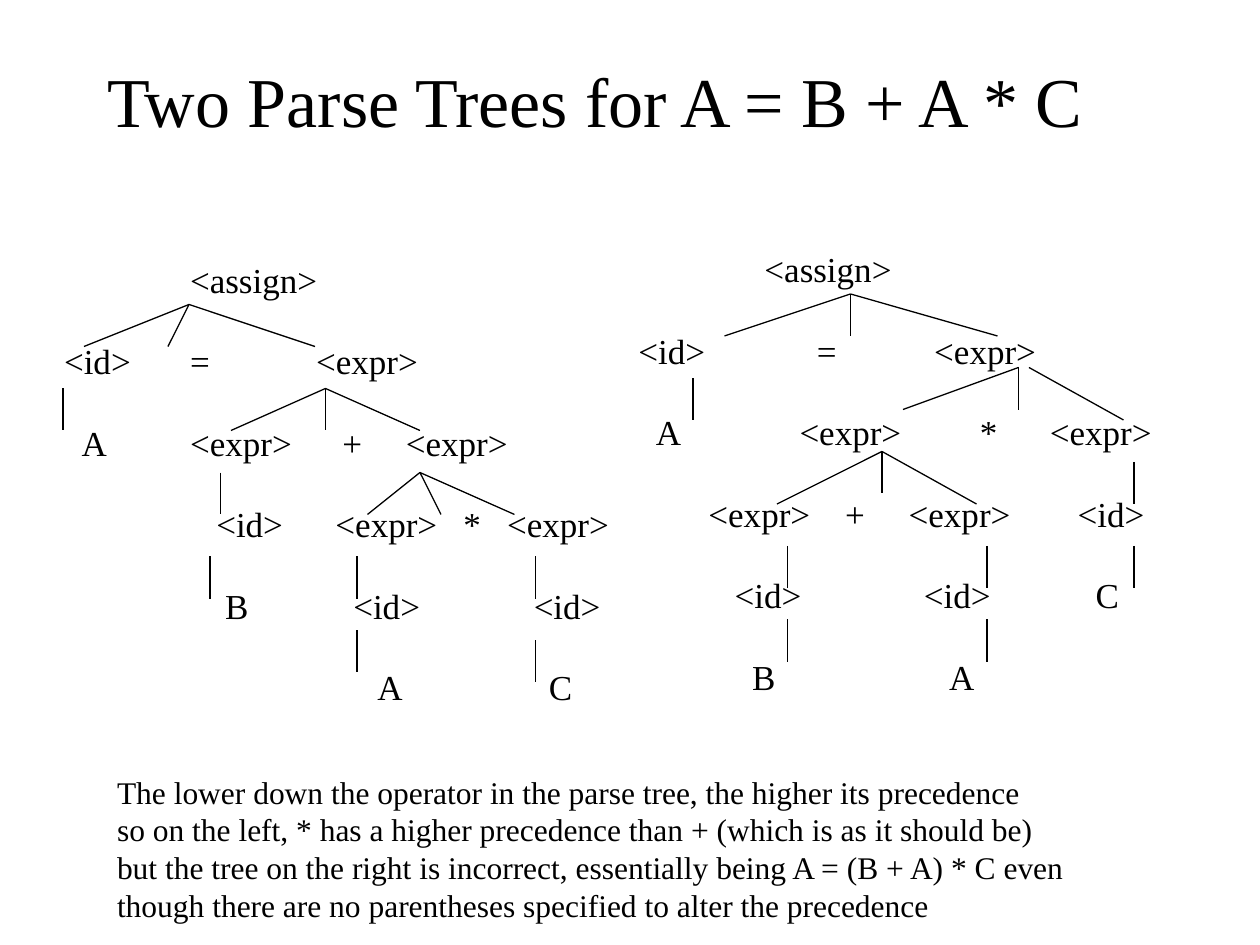
from dataclasses import dataclass

from lxml import etree
from pptx import Presentation
from pptx.dml.color import RGBColor
from pptx.enum.shapes import MSO_CONNECTOR
from pptx.enum.text import MSO_ANCHOR, PP_ALIGN
from pptx.oxml.ns import qn
from pptx.util import Pt

STRAIGHT = MSO_CONNECTOR.STRAIGHT
TOP, MIDDLE = MSO_ANCHOR.TOP, MSO_ANCHOR.MIDDLE
LEFT = PP_ALIGN.LEFT


@dataclass(frozen=True)
class Theme:
    font: str = "Times New Roman"
    ink: RGBColor = RGBColor(0, 0, 0)
    title_size: float = 40
    tree_size: float = 20
    note_size: float = 18
    line_width: float = 0.75
    level_gap: float = 22.6
    stem_length: float = 24


THEME = Theme()


def write_text(shape, lines, *, size, anchor=TOP, space_after=0, tab_stops=()):
    """Fill a shape with one paragraph per line; tab_stops holds a list per line."""
    frame = shape.text_frame
    frame.word_wrap = True
    frame.vertical_anchor = anchor
    for index, line in enumerate(lines):
        paragraph = frame.add_paragraph() if index else frame.paragraphs[0]
        paragraph.alignment = LEFT
        paragraph.space_after = Pt(space_after)
        if tab_stops:
            tab_list = etree.SubElement(paragraph._p.get_or_add_pPr(), qn("a:tabLst"))
            for stop in tab_stops[index]:
                etree.SubElement(tab_list, qn("a:tab"), pos=str(Pt(stop)), algn="l")
        run = paragraph.add_run()
        run.text = line
        run.font.name = THEME.font
        run.font.size = Pt(size)
        run.font.color.rgb = THEME.ink


def draw_line(slide, start, end):
    line = slide.shapes.add_connector(STRAIGHT, *(Pt(value) for value in (*start, *end)))
    line.line.color.rgb = THEME.ink
    line.line.width = Pt(THEME.line_width)
    etree.SubElement(line._element.spPr, qn("a:effectLst"))


# Each level lists its nodes as (distance from the text edge, label).
# Fans map a parent point to its branch ends; stems are the tops of vertical lines.
TREES = [
    {
        "box": (29.5, 144, 328, 270.7),
        "levels": [
            [(72, "<assign>")],
            [(0, "<id>"), (72, "="), (144, "<expr>")],
            [(10, "A"), (72, "<expr>"), (159, "+"), (195.3, "<expr>")],
            [(87, "<id>"), (155.1, "<expr>"), (228.2, "*"), (253.2, "<expr>")],
            [(92, "B"), (165.3, "<id>"), (268.4, "<id>")],
            [(179, "A"), (277, "C")],
        ],
        "fans": {
            (108, 174): [(48, 198), (96, 198), (180, 198)],
            (186, 222): [(132, 246), (186, 246), (240, 246)],
            (240, 270): [(210, 294), (252, 294), (294, 294)],
        },
        "stems": [(36, 222), (126, 270), (120, 318), (204, 318),
                  (306, 318), (204, 360), (306, 366)],
    },
    {
        "box": (357.8, 138, 335.5, 270.7),
        "levels": [
            [(72, "<assign>")],
            [(0, "<id>"), (102, "="), (169, "<expr>")],
            [(10, "A"), (92, "<expr>"), (195.1, "*"), (235.1, "<expr>")],
            [(40, "<expr>"), (118.1, "+"), (154.4, "<expr>"), (251, "<id>")],
            [(55, "<id>"), (163.1, "<id>"), (261.2, "C")],
            [(65, "B"), (177.5, "A")],
        ],
        "fans": {
            (486, 168): [(414, 192), (486, 192), (570, 192)],
            (582, 210): [(516, 234), (582, 234)],
            (588, 210): [(642, 240)],
            (504, 258): [(444, 288), (504, 282), (558, 288)],
        },
        "stems": [(396, 216), (648, 264), (450, 312), (564, 312),
                  (648, 312), (450, 354), (564, 354)],
    },
]

NOTE = [
    "The lower down the operator in the parse tree, the higher its precedence",
    "so on the left, * has a higher precedence than + (which is as it should be)",
    "but the tree on the right is incorrect, essentially being A = (B + A) * C even",
    "though there are no parentheses specified to alter the precedence",
]

presentation = Presentation()
presentation.slide_width, presentation.slide_height = Pt(720), Pt(540)
slide = presentation.slides.add_slide(presentation.slide_layouts[5])

# Title
title = slide.shapes.title
title.left, title.top, title.width, title.height = Pt(54), Pt(12), Pt(612), Pt(90)
write_text(title, ["Two Parse Trees for A = B + A * C"], size=THEME.title_size, anchor=MIDDLE)

# Parse trees: one paragraph per level, nodes placed by tab stops, then the branches
for tree in TREES:
    box = slide.shapes.add_textbox(*(Pt(value) for value in tree["box"]))
    lines, stops = [], []
    for level in tree["levels"]:
        lines.append("".join(f"\t{label}" if offset else label for offset, label in level))
        stops.append([offset for offset, label in level if offset])
    write_text(box, lines, size=THEME.tree_size, space_after=THEME.level_gap, tab_stops=stops)

    for parent, children in tree["fans"].items():
        for child in children:
            draw_line(slide, parent, child)
    for x, y in tree["stems"]:
        draw_line(slide, (x, y), (x, y + THEME.stem_length))

# Explanation
note = slide.shapes.add_textbox(Pt(59.8), Pt(438), Pt(560), Pt(93.6))
write_text(note, NOTE, size=THEME.note_size)

presentation.save("out.pptx")
